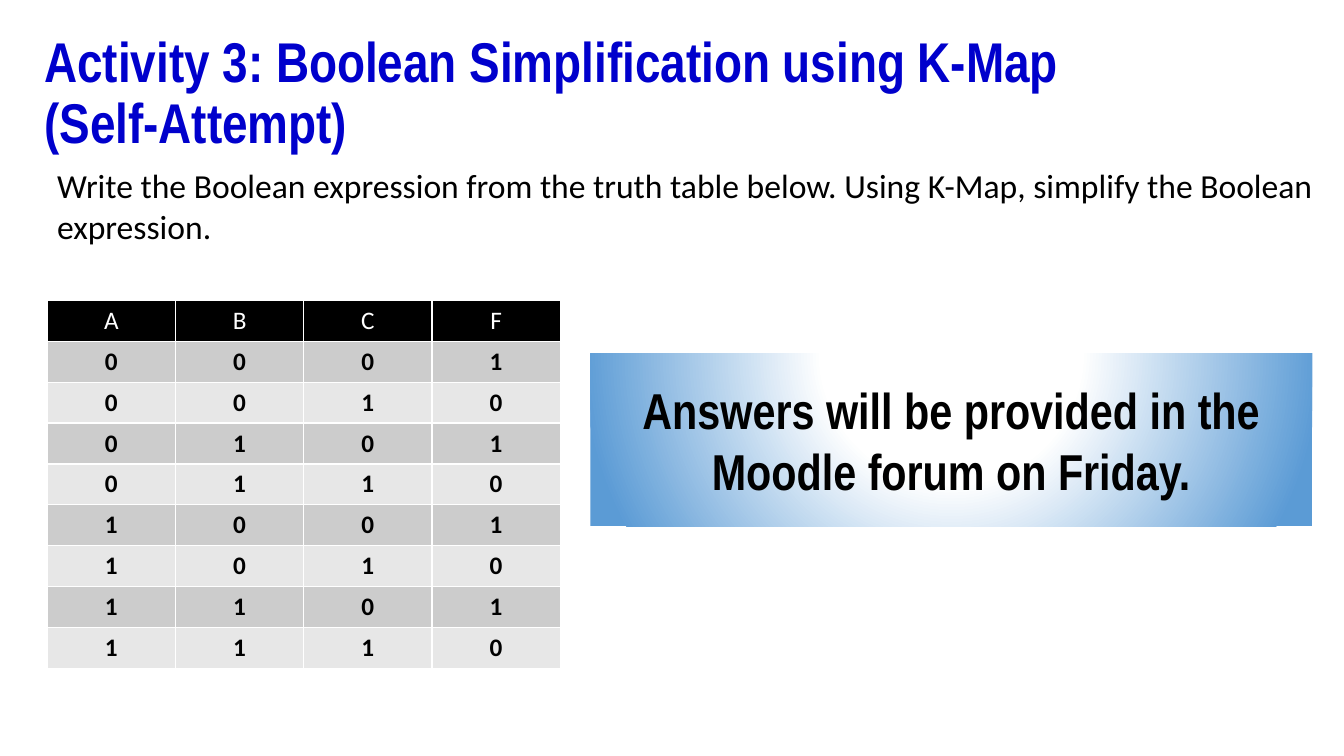
import itertools

import pptx
import pptx.dml.color
import pptx.enum.shapes
import pptx.enum.text
import pptx.oxml
import pptx.oxml.ns
import pptx.util

Cm = pptx.util.Cm
Align = pptx.enum.text.PP_ALIGN
Anchor = pptx.enum.text.MSO_ANCHOR
theme = {
    "title": {"name": "Arial Narrow", "size": 40, "bold": True, "color": "0000CC"},
    "task": {"name": "Calibri", "size": 24, "bold": False, "color": "000000"},
    "header": {"name": "Calibri", "size": 18, "bold": False, "color": "FFFFFF"},
    "cell": {"name": "Calibri", "size": 18, "bold": True, "color": "000000"},
    "notice": {"name": "Arial Narrow", "size": 36, "bold": True, "color": "000000"},
    "header_fill": "000000",
    "band_fills": ["CCCCCC", "E7E7E7"],
    "glow": [(0, "FFFFFF"), (35, "FFFFFF"), (100, "5B9BD5")],
}


def rgb(value):
    return pptx.dml.color.RGBColor.from_string(value)


def write(tf, text, style, align=Align.LEFT, anchor=Anchor.TOP):
    tf.word_wrap = True
    tf.vertical_anchor = anchor
    p = tf.paragraphs[0]
    p.alignment = align
    r = p.add_run()
    r.text = text
    values = dict(theme[style])
    r.font.color.rgb = rgb(values.pop("color"))
    values["size"] = pptx.util.Pt(values["size"])
    for name, value in values.items():
        setattr(r.font, name, value)


prs = pptx.Presentation()
prs.slide_width, prs.slide_height = Cm(33.87), Cm(19.05)
s = prs.slides.add_slide(prs.slide_layouts[5])

title = s.shapes.title
frame = {"left": Cm(0.86), "top": Cm(0.74), "width": Cm(28.68), "height": Cm(2.06)}
for name, value in frame.items():
    setattr(title, name, value)
title.text_frame.auto_size = pptx.enum.text.MSO_AUTO_SIZE.NONE
write(title.text_frame, "Activity 3: Boolean Simplification using K-Map (Self-Attempt)", "title")
title.text_frame.paragraphs[0].line_spacing = 0.9

task = s.shapes.add_textbox(Cm(1.19), Cm(4.04), Cm(32.16), Cm(2.31))
write(
    task.text_frame,
    "Write the Boolean expression from the truth table below. "
    "Using K-Map, simplify the Boolean expression.",
    "task",
)

rows = [["A", "B", "C", "F"]]
rows += [[a, b, c, 1 - c] for a, b, c in itertools.product((0, 1), repeat=3)]
table = s.shapes.add_table(
    len(rows), len(rows[0]), Cm(1.19), Cm(7.57), Cm(12.93), Cm(9.27)
).table
for i, values in enumerate(rows):
    style = "cell" if i else "header"
    fill = theme["band_fills"][(i - 1) % 2] if i else theme["header_fill"]
    for j, value in enumerate(values):
        cell = table.cell(i, j)
        cell.fill.solid()
        cell.fill.fore_color.rgb = rgb(fill)
        write(cell.text_frame, str(value), style, Align.CENTER)

notice = s.shapes.add_shape(
    pptx.enum.shapes.MSO_SHAPE.FLOWCHART_PROCESS, Cm(14.88), Cm(8.92), Cm(18.19), Cm(4.34)
)
notice.shadow.inherit = False
notice.line.fill.background()
stops = "".join(
    f'<a:gs pos="{pos * 1000}"><a:srgbClr val="{color}"/></a:gs>' for pos, color in theme["glow"]
)
glow = pptx.oxml.parse_xml(
    f'<a:gradFill {pptx.oxml.ns.nsdecls("a")} rotWithShape="1"><a:gsLst>{stops}</a:gsLst>'
    '<a:path path="circle"><a:fillToRect l="50000" t="-80000" r="50000" b="180000"/></a:path>'
    "</a:gradFill>"
)
notice.element.spPr.find(pptx.oxml.ns.qn("a:prstGeom")).addnext(glow)
write(
    notice.text_frame,
    "Answers will be provided in the Moodle forum on Friday.",
    "notice",
    Align.CENTER,
    Anchor.MIDDLE,
)

prs.save("out.pptx")
